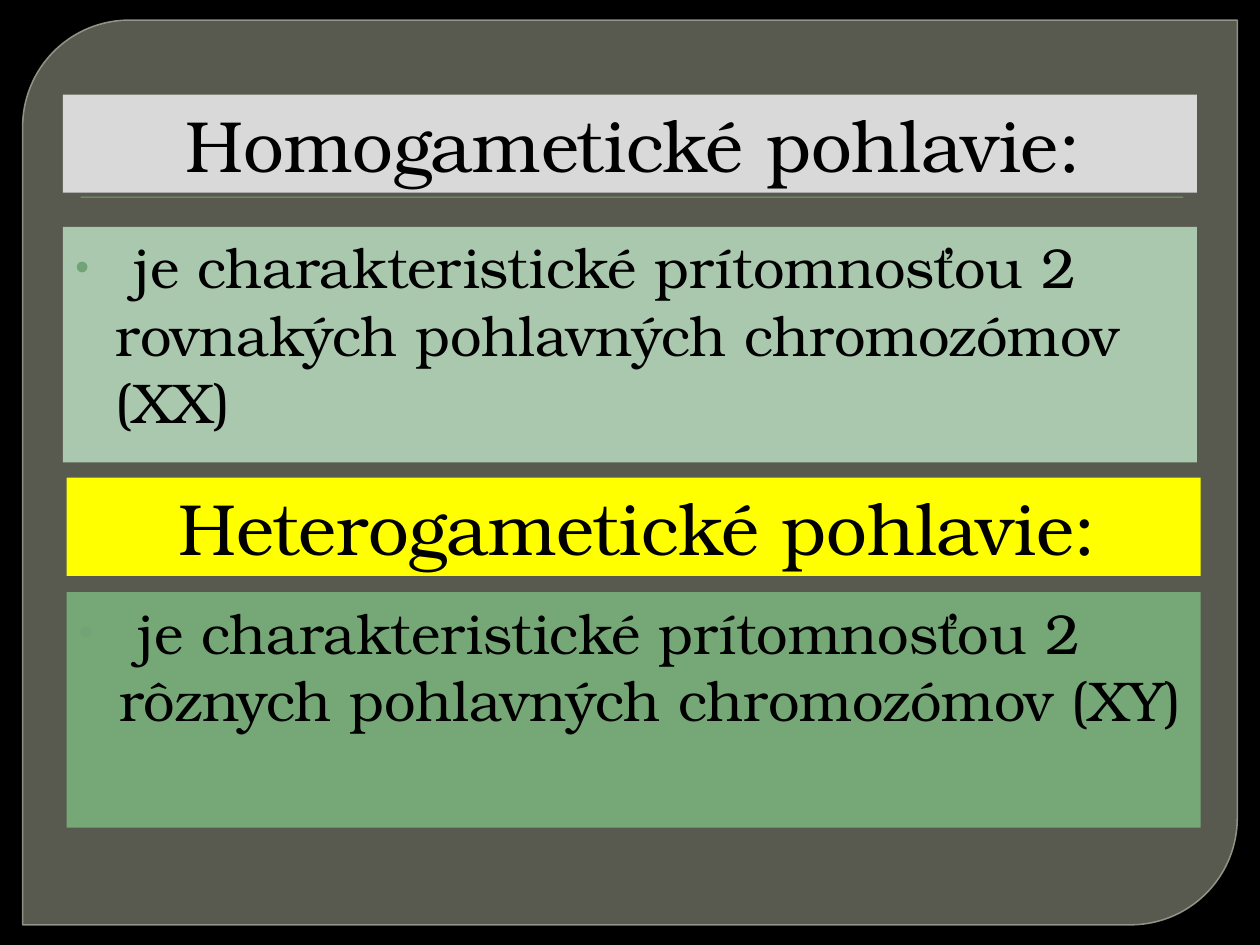
from lxml import etree
from pptx import Presentation
from pptx.dml.color import RGBColor
from pptx.enum.shapes import MSO_SHAPE
from pptx.enum.text import MSO_ANCHOR, PP_ALIGN
from pptx.oxml.ns import qn
from pptx.util import Inches, Pt

RECT, PANEL = MSO_SHAPE.RECTANGLE, MSO_SHAPE.ROUND_2_DIAG_RECTANGLE
TOP, BOTTOM = MSO_ANCHOR.TOP, MSO_ANCHOR.BOTTOM
LEFT, CENTER = PP_ALIGN.LEFT, PP_ALIGN.CENTER
FONT, ACCENT = "TeX Gyre Bonum", "72A376"
WIDTH, TITLE_H, BODY_H = 9, 0.78, 1.87

SECTIONS = [
    dict(left=0.5, title="Homogametické pohlavie:", title_top=0.75, title_fill="D9D9D9",
         body="je charakteristické prítomnosťou 2 rovnakých pohlavných chromozómov (XX)",
         body_top=1.8, body_fill="AAC8AD"),
    dict(left=0.53, title="Heterogametické pohlavie:", title_top=3.79, title_fill="FFFF00",
         body="je charakteristické prítomnosťou 2 rôznych pohlavných chromozómov (XY)",
         body_top=4.7, body_fill="76A776"),
]


def rgb(value):
    """Turn a hex string into a colour."""
    return RGBColor.from_string(value)


def set_alpha(fill_format, percent):
    """Make a solid fill partly transparent."""
    color = fill_format._xPr.find(qn("a:solidFill"))[0]
    etree.SubElement(color, qn("a:alpha"), val=str(percent * 1000))


def add_box(s, kind, left, top, width, height, fill):
    """Add a filled shape without line or shadow."""
    sp = s.shapes.add_shape(kind, Inches(left), Inches(top), Inches(width), Inches(height))
    sp.shadow.inherit = False
    sp.fill.solid()
    sp.fill.fore_color.rgb = rgb(fill)
    sp.line.fill.background()
    return sp


def write(sp, text, size, anchor, align, margin, indent):
    """Put one formatted paragraph into a shape."""
    tf = sp.text_frame
    tf.word_wrap = True
    tf.vertical_anchor = anchor
    p = tf.paragraphs[0]
    p.text = text
    p.alignment = align
    r = p.runs[0]
    r.font.name = FONT
    r.font.size = Pt(size)
    r.font.color.rgb = rgb("000000")
    pPr = p._p.get_or_add_pPr()
    pPr.set("marL", str(Inches(margin)))
    pPr.set("indent", str(Inches(indent)))
    return pPr


def add_bullet(pPr):
    """Give a paragraph a small accent bullet."""
    color = etree.SubElement(pPr, qn("a:buClr"))
    etree.SubElement(color, qn("a:srgbClr"), val=ACCENT)
    etree.SubElement(pPr, qn("a:buSzPct"), val="70000")
    etree.SubElement(pPr, qn("a:buFont"), typeface="Arial")
    etree.SubElement(pPr, qn("a:buChar"), char="•")


def main():
    """Build and save the slide."""
    prs = Presentation()
    prs.slide_width, prs.slide_height = Inches(10), Inches(7.5)
    s = prs.slides.add_slide(prs.slide_layouts[6])
    s.background.fill.solid()
    s.background.fill.fore_color.rgb = rgb("000000")

    panel = add_box(s, PANEL, 0.18, 0.16, 9.64, 7.18, "888B7B")
    panel.adjustments[0], panel.adjustments[1] = 0.118, 0
    set_alpha(panel.fill, 65)
    panel.line.color.rgb = rgb("9DA090")
    panel.line.width = Pt(0.87)
    set_alpha(panel.line.fill, 88)
    add_box(s, RECT, 0.64, 1.56, 8.75, 0.01, ACCENT)

    for sec in SECTIONS:
        title = add_box(s, RECT, sec["left"], sec["title_top"], WIDTH, TITLE_H, sec["title_fill"])
        write(title, sec["title"], 41.4, BOTTOM, CENTER, 0.06, 0)
        body = add_box(s, RECT, sec["left"], sec["body_top"], WIDTH, BODY_H, sec["body_fill"])
        add_bullet(write(body, " " + sec["body"], 32, TOP, LEFT, 0.32, -0.32))

    prs.save("out.pptx")


if __name__ == "__main__":
    main()
